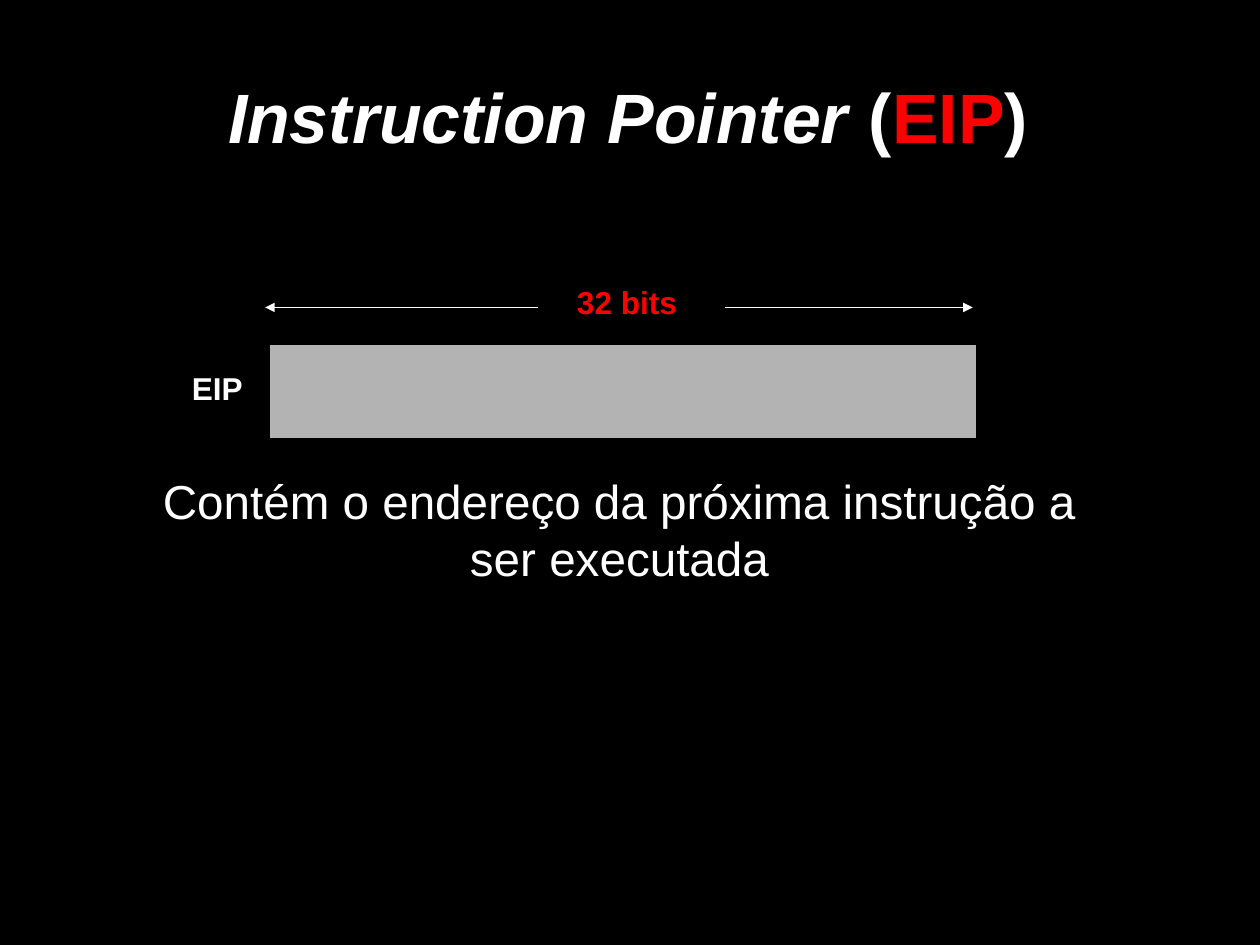
from lxml import etree
from pptx import Presentation
from pptx.dml.color import RGBColor
from pptx.enum.shapes import MSO_CONNECTOR
from pptx.enum.text import MSO_ANCHOR, PP_ALIGN
from pptx.oxml.ns import qn
from pptx.util import Inches, Pt

BLACK = RGBColor(0x00, 0x00, 0x00)
WHITE = RGBColor(0xFF, 0xFF, 0xFF)
RED = RGBColor(0xFF, 0x00, 0x00)
GRAY = RGBColor(0xB3, 0xB3, 0xB3)
STRAIGHT = MSO_CONNECTOR.STRAIGHT
LEFT, CENTER = PP_ALIGN.LEFT, PP_ALIGN.CENTER
MIDDLE = MSO_ANCHOR.MIDDLE
MM_PER_INCH = 25.4


def add_span(para, text, size, color=WHITE, bold=False, italic=False):
    span = para.add_run()
    span.text = text
    span.font.name = "Arial"
    span.font.size = Pt(size)
    span.font.bold = bold
    span.font.italic = italic
    span.font.color.rgb = color


# Page of 280 by 210 mm
deck = Presentation()
deck.slide_width = Inches(280 / MM_PER_INCH)
deck.slide_height = Inches(210 / MM_PER_INCH)
page = deck.slides.add_slide(deck.slide_layouts[5])
page.background.fill.solid()
page.background.fill.fore_color.rgb = BLACK

# Title
title = page.shapes.title
title.left, title.top = Inches(0.55), Inches(0.15)
title.width, title.height = Inches(9.89), Inches(1.73)
title.text_frame.vertical_anchor = MIDDLE
title.text_frame.word_wrap = True
title_para = title.text_frame.paragraphs[0]
title_para.alignment = CENTER
for text, color, italic in [
    ("Instruction Pointer", WHITE, True),
    (" (", WHITE, False),
    ("EIP", RED, False),
    (")", WHITE, False),
]:
    add_span(title_para, text, 44, color=color, bold=True, italic=italic)

# Register: a single borderless cell
register = page.shapes.add_table(
    1, 1, Inches(2.36), Inches(3.02), Inches(6.18), Inches(0.81)
).table
register.first_row = register.horz_banding = False
cell = register.cell(0, 0)
cell.fill.solid()
cell.fill.fore_color.rgb = GRAY
cell_format = cell._tc.get_or_add_tcPr()
for position, side in enumerate(["a:lnL", "a:lnR", "a:lnT", "a:lnB"]):
    border = etree.Element(qn(side))
    etree.SubElement(border, qn("a:noFill"))
    cell_format.insert(position, border)

# Labels and description
for text, left, top, width, height, size, color, bold, align in [
    ("Contém o endereço da próxima instrução a ser executada",
     1.21, 4.08, 8.42, 1.45, 30, WHITE, False, CENTER),
    ("EIP", 1.58, 3.18, 0.79, 0.44, 19.9, WHITE, True, LEFT),
    ("32 bits", 4.95, 2.43, 1.13, 0.44, 19.9, RED, True, LEFT),
]:
    box = page.shapes.add_textbox(
        Inches(left), Inches(top), Inches(width), Inches(height)
    )
    box.text_frame.word_wrap = True
    para = box.text_frame.paragraphs[0]
    para.alignment = align
    add_span(para, text, size, color=color, bold=bold)

# Width arrows, pointing outwards from the bit count
ARROW_Y = Inches(2.69)
for start, end in [(6.34, 8.51), (4.71, 2.32)]:
    arrow = page.shapes.add_connector(
        STRAIGHT, Inches(start), ARROW_Y, Inches(end), ARROW_Y
    )
    arrow.line.color.rgb = WHITE
    arrow.line.width = Pt(0.75)
    etree.SubElement(arrow.line._get_or_add_ln(), qn("a:tailEnd"), type="triangle")
    etree.SubElement(arrow._element.spPr, qn("a:effectLst"))

deck.save("out.pptx")
